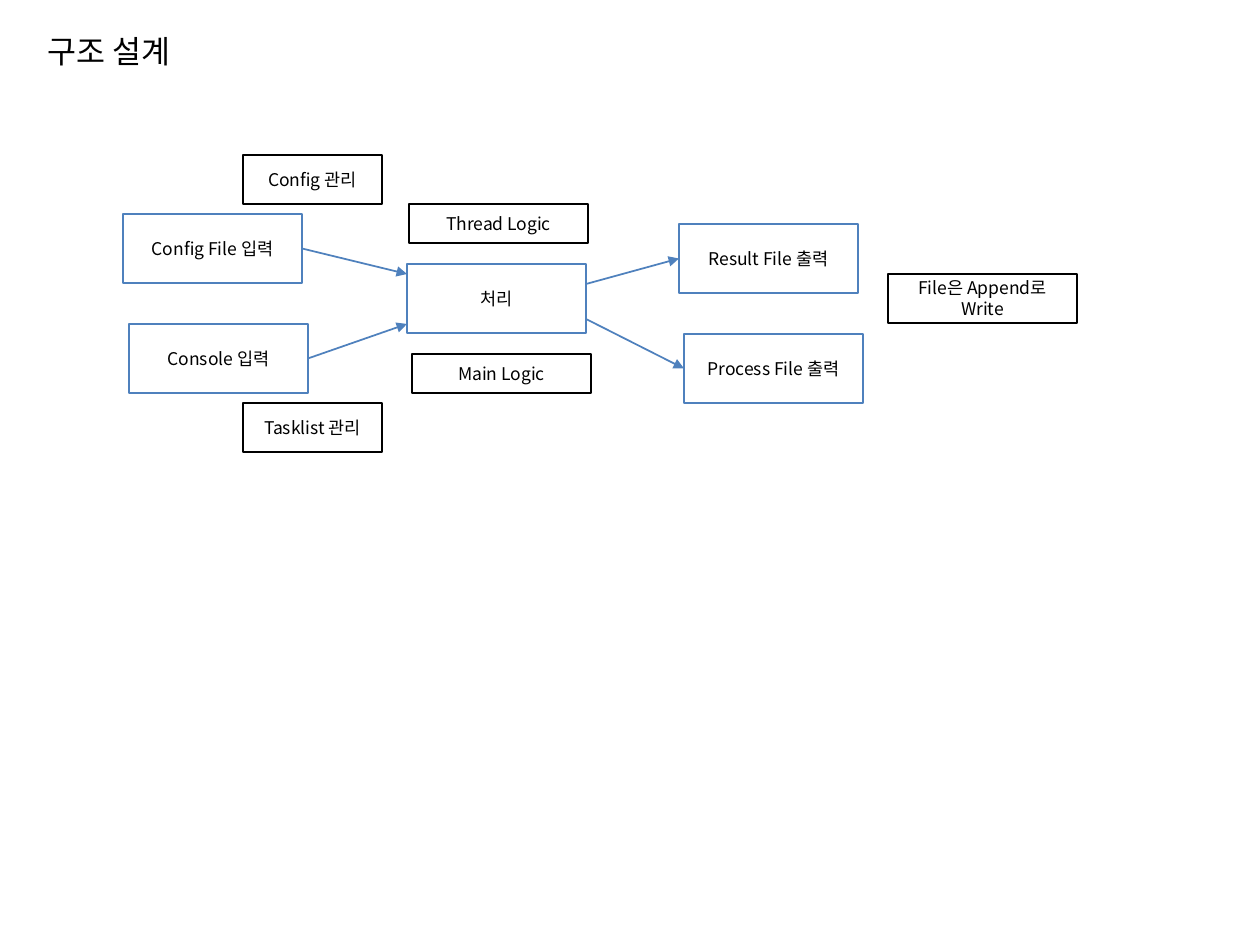
from lxml import etree
from pptx import Presentation
from pptx.dml.color import RGBColor
from pptx.enum.shapes import MSO_CONNECTOR, MSO_SHAPE
from pptx.enum.text import MSO_ANCHOR, MSO_AUTO_SIZE, PP_ALIGN
from pptx.oxml.ns import qn
from pptx.util import Emu, Pt

RECTANGLE = MSO_SHAPE.RECTANGLE
STRAIGHT = MSO_CONNECTOR.STRAIGHT
MIDDLE = MSO_ANCHOR.MIDDLE
CENTER = PP_ALIGN.CENTER
FIT_SHAPE = MSO_AUTO_SIZE.SHAPE_TO_FIT_TEXT
LEFT_SIDE, RIGHT_SIDE = 1, 3

FONT = "Noto Sans CJK KR"
BLUE, BLACK = "4F81BD", "000000"
STEP_SIZE = (179, 69)
LOGIC_SIZE = (179, 39)
MANAGER_SIZE = (139, 49)
NOTE_SIZE = (189, 49)


def px(value):
    return Emu(round(value * 914400 / 126))


def color(value):
    return RGBColor.from_string(value)


def format_text(paragraph, size):
    for run in paragraph.runs:
        run.font.size = Pt(size)
        run.font.name = FONT
        run.font.color.rgb = color(BLACK)
        east_asian = etree.SubElement(run.font._element, qn("a:ea"))
        east_asian.set("typeface", FONT)


def add_title(slide, text):
    box = slide.shapes.add_textbox(px(35), px(26), px(198), px(50))
    frame = box.text_frame
    frame.word_wrap = True
    frame.auto_size = FIT_SHAPE
    frame.text = text
    format_text(frame.paragraphs[0], 18)


def add_box(slide, text, left, top, size, line):
    shape = slide.shapes.add_shape(
        RECTANGLE, px(left), px(top), px(size[0]), px(size[1]))
    shape.shadow.inherit = False
    shape.fill.background()
    shape.line.color.rgb = color(line)
    shape.line.width = Pt(1.5)
    frame = shape.text_frame
    frame.word_wrap = True
    frame.vertical_anchor = MIDDLE
    frame.text = text
    paragraph = frame.paragraphs[0]
    paragraph.alignment = CENTER
    format_text(paragraph, 10)
    return shape


def add_arrow(slide, start, end, source=None, target=None):
    arrow = slide.shapes.add_connector(STRAIGHT, *map(px, start + end))
    if source is not None:
        arrow.begin_connect(source, RIGHT_SIDE)
    if target is not None:
        arrow.end_connect(target, LEFT_SIDE)
    arrow.line.color.rgb = color(BLUE)
    arrow.line.width = Pt(1)
    line = arrow.line._get_or_add_ln()
    etree.SubElement(line, qn("a:tailEnd")).set("type", "triangle")
    etree.SubElement(arrow._element.spPr, qn("a:effectLst"))


def main():
    presentation = Presentation()
    presentation.slide_width = px(1260)
    presentation.slide_height = px(945)
    slide = presentation.slides.add_slide(presentation.slide_layouts[6])

    add_title(slide, "구조 설계")

    # Flow steps: inputs, processing, outputs
    config = add_box(slide, "Config File 입력", 123, 214, STEP_SIZE, BLUE)
    console = add_box(slide, "Console 입력", 129, 324, STEP_SIZE, BLUE)
    add_box(slide, "처리", 407, 264, STEP_SIZE, BLUE)
    result = add_box(slide, "Result File 출력", 679, 224, STEP_SIZE, BLUE)
    process = add_box(slide, "Process File 출력", 684, 334, STEP_SIZE, BLUE)

    # Arrows into and out of the processing step
    add_arrow(slide, (302, 249), (407, 274), source=config)
    add_arrow(slide, (308, 358), (407, 324), source=console)
    add_arrow(slide, (586, 284), (679, 259), target=result)
    add_arrow(slide, (586, 319), (684, 368), target=process)

    # Annotations beside the steps
    for text, left, top, size in (
        ("Main Logic", 412, 354, LOGIC_SIZE),
        ("Thread Logic", 409, 204, LOGIC_SIZE),
        ("File은 Append로 Write", 888, 274, NOTE_SIZE),
        ("Config 관리", 243, 155, MANAGER_SIZE),
        ("Tasklist 관리", 243, 403, MANAGER_SIZE),
    ):
        add_box(slide, text, left, top, size, BLACK)

    presentation.save("out.pptx")


if __name__ == "__main__":
    main()
